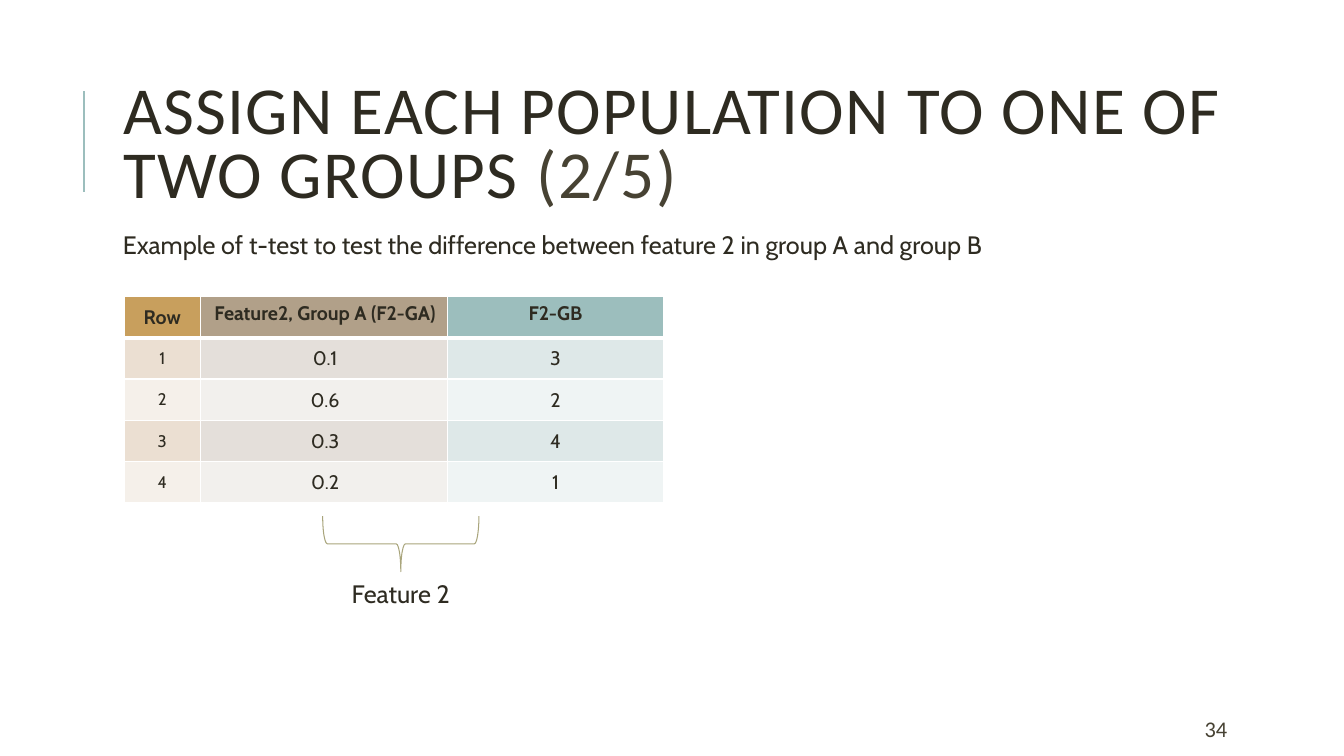
"""Build the slide that assigns populations to two groups for a t-test."""
import dataclasses

import pptx
import pptx.dml.color
import pptx.enum.shapes
import pptx.enum.text
import pptx.oxml
import pptx.oxml.ns
import pptx.util
from lxml import etree

PX = 9144
ALIGN = pptx.enum.text.PP_ALIGN
ANCHOR = pptx.enum.text.MSO_ANCHOR


@dataclasses.dataclass(frozen=True)
class Theme:
    """Fonts, colours and type sizes."""
    heading: str = "Calibri"
    body: str = "Cabin"
    ink: str = "2E2B21"
    muted: str = "474233"
    white: str = "FFFFFF"
    teal: str = "9CBEBD"
    olive: str = "A9A57C"
    row_fills: tuple = ("C89F5D", "EBDFD2", "F5F0EA")
    group_a_fills: tuple = ("B1A089", "E4DFDA", "F2F0ED")
    group_b_fills: tuple = ("9CBEBD", "DEE8E8", "EFF4F4")
    title_size: int = 48
    text_size: int = 18
    number_size: int = 16
    cell_size: int = 14
    index_size: int = 12


def emu(*lengths):
    """Turn px lengths into EMU."""
    return [pptx.util.Emu(n * PX) for n in lengths]


def rgb(color):
    """Turn a hex string into a colour."""
    return pptx.dml.color.RGBColor.from_string(color)


def add_run(p, text, *, font, size, color, bold=False, spacing=None):
    """Add one formatted run to a paragraph."""
    r = p.add_run()
    r.text = text
    r.font.name, r.font.size, r.font.bold = font, pptx.util.Pt(size), bold
    r.font.color.rgb = rgb(color)
    if spacing is not None:
        r.font._element.set("spc", str(spacing))


class Deck:
    """Hold the theme and the current slide."""

    def __init__(self, theme):
        """Open a presentation with one title-only slide."""
        self.theme = theme
        self.prs = pptx.Presentation()
        self.prs.slide_width, self.prs.slide_height = emu(1333, 750)
        self.s = self.prs.slides.add_slide(self.prs.slide_layouts[5])

    def title(self, box, parts):
        """Place the title and fill it with (text, colour) parts."""
        t = self.theme
        sp = self.s.shapes.title
        sp.left, sp.top, sp.width, sp.height = emu(*box)
        tf = sp.text_frame
        tf.word_wrap = True
        tf.auto_size = pptx.enum.text.MSO_AUTO_SIZE.NONE
        tf.vertical_anchor = ANCHOR.MIDDLE
        p = tf.paragraphs[0]
        p.alignment, p.line_spacing = ALIGN.LEFT, 0.8
        for text, color in parts:
            add_run(p, text, font=t.heading, size=t.title_size, color=color, spacing=100)

    def text(self, box, text, *, wrap=True, align=ALIGN.LEFT, anchor=ANCHOR.TOP, **fmt):
        """Add a text box."""
        t = self.theme
        tf = self.s.shapes.add_textbox(*emu(*box)).text_frame
        tf.word_wrap, tf.vertical_anchor = wrap, anchor
        p = tf.paragraphs[0]
        p.alignment = align
        add_run(p, text, **{"font": t.body, "size": t.text_size, "color": t.ink, **fmt})

    def line(self, x1, y1, x2, y2, color, width):
        """Add a straight line without a shadow."""
        cn = self.s.shapes.add_connector(
            pptx.enum.shapes.MSO_CONNECTOR.STRAIGHT, *emu(x1, y1, x2, y2))
        cn.line.color.rgb, cn.line.width = rgb(color), pptx.util.Pt(width)
        etree.SubElement(cn._element.spPr, pptx.oxml.ns.qn("a:effectLst"))

    def brace(self, box, color, width):
        """Add a right brace turned to point down."""
        sp = self.s.shapes.add_shape(
            pptx.enum.shapes.MSO_SHAPE.RIGHT_BRACE, *emu(*box))
        sp.rotation = 90
        sp.shadow.inherit = False
        sp.fill.background()
        sp.line.color.rgb, sp.line.width = rgb(color), pptx.util.Pt(width)

    def borders(self, cell, top, bottom):
        """Give a cell white borders with the given top and bottom widths."""
        tc_pr = cell._tc.get_or_add_tcPr()
        for side, width in zip("LRTB", (1, 1, top, bottom)):
            tc_pr.append(pptx.oxml.parse_xml(
                f'<a:ln{side} {pptx.oxml.ns.nsdecls("a")} w="{pptx.util.Pt(width)}">'
                f'<a:solidFill><a:srgbClr val="{self.theme.white}"/></a:solidFill>'
                f'</a:ln{side}>'))

    def column_table(self, left, width, texts, fills, *, size, header_anchor, tight):
        """Add a one-column table with a header and banded rows."""
        t = self.theme
        top, row_height = 294, 41
        table = self.s.shapes.add_table(
            len(texts), 1, *emu(left, top, width, row_height * len(texts))).table
        for i, text in enumerate(texts):
            header = i == 0
            table.rows[i].height = emu(row_height)[0]
            cell = table.cell(i, 0)
            self.borders(cell, 3 if i == 1 else 1, 3 if header else 1)
            cell.fill.solid()
            cell.fill.fore_color.rgb = rgb(fills[0] if header else fills[2 - i % 2])
            cell.vertical_anchor = header_anchor if header else ANCHOR.MIDDLE
            if tight and not header:
                (cell.margin_left, cell.margin_top,
                 cell.margin_right, cell.margin_bottom) = emu(1, 1, 1, 0)
            p = cell.text_frame.paragraphs[0]
            p.alignment = ALIGN.CENTER
            add_run(p, text, font=t.body, size=t.cell_size if header else size,
                    color=t.ink, bold=header)


def main():
    """Compose and save the slide."""
    t = Theme()
    deck = Deck(t)
    deck.line(83, 190, 83, 90, t.teal, 1.5)
    deck.title((112, 64, 1205, 164), [
        ("ASSIGN EACH POPULATION TO ONE OF TWO GROUPS ", t.ink), ("(2/5)", t.muted)])
    groups = [
        (199, 247, ["Feature2, Group A (F2-GA)", "0.1", "0.6", "0.3", "0.2"], t.group_a_fills),
        (444, 214, ["F2-GB", "3", "2", "4", "1"], t.group_b_fills),
    ]
    for group in groups:
        deck.column_table(*group, size=t.cell_size, header_anchor=ANCHOR.TOP, tight=True)
    deck.text((112, 223, 877, 40),
              "Example of t-test to test the difference between feature 2 in group A and group B",
              align=ALIGN.JUSTIFY)
    deck.brace((370, 462, 55, 155), t.olive, 0.75)
    deck.text((339, 569, 118, 40), "Feature 2", wrap=False)
    deck.text((1185, 708, 106, 30), "34", anchor=ANCHOR.MIDDLE,
              font=t.heading, size=t.number_size, color=t.muted)
    deck.column_table(123, 76, ["Row", "1", "2", "3", "4"], t.row_fills,
                      size=t.index_size, header_anchor=ANCHOR.MIDDLE, tight=False)
    deck.prs.save("out.pptx")


if __name__ == "__main__":
    main()
